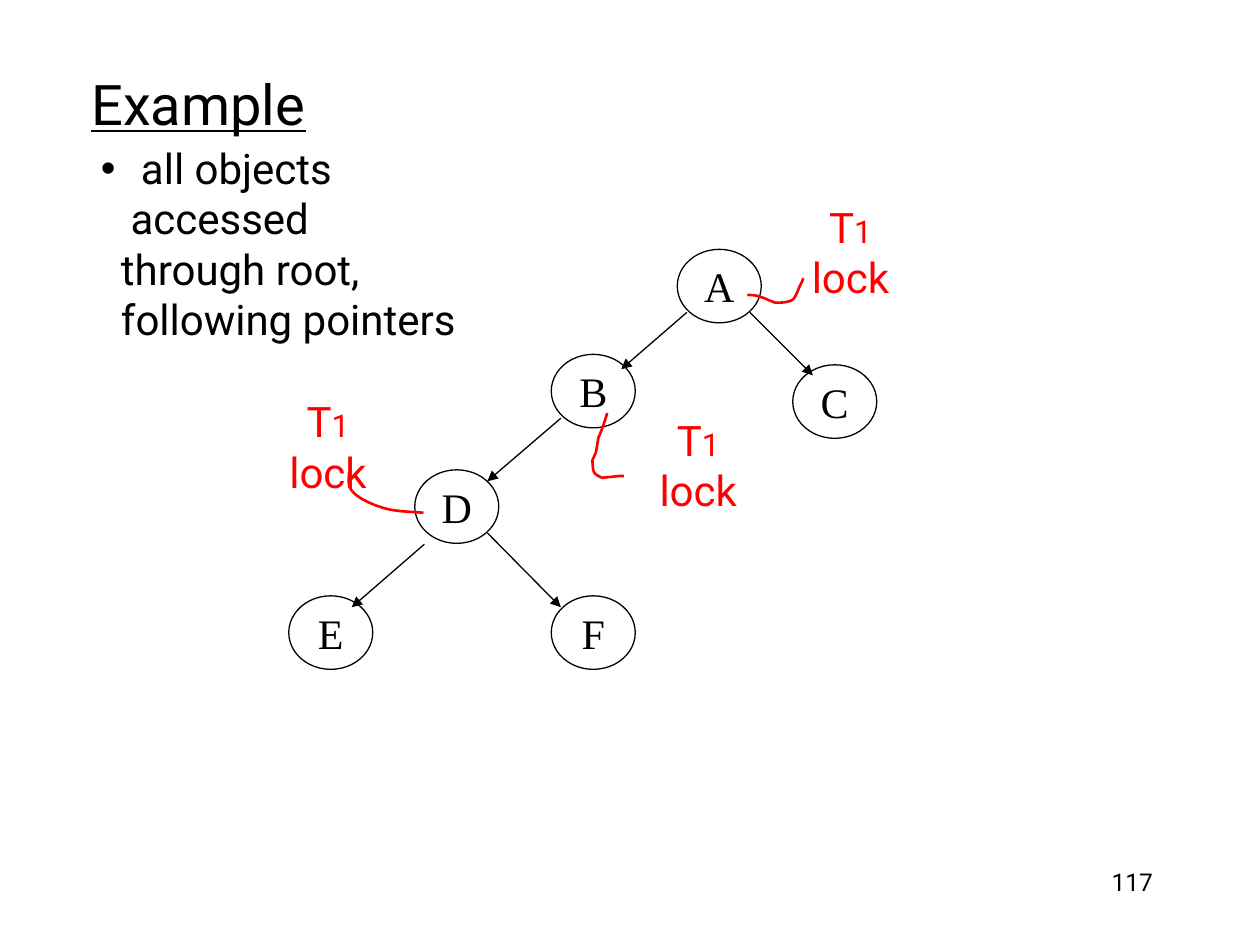
from lxml.etree import SubElement
from pptx import Presentation
from pptx.dml.color import RGBColor
from pptx.enum.shapes import MSO_CONNECTOR, MSO_SHAPE
from pptx.enum.text import MSO_ANCHOR, MSO_AUTO_SIZE, PP_ALIGN
from pptx.oxml.ns import qn
from pptx.util import Pt

BLACK = RGBColor(0, 0, 0)
WHITE = RGBColor(255, 255, 255)
RED = RGBColor(255, 0, 0)
SANS = "Roboto"
SERIF = "Times New Roman"


class TreeSlide:
    """Draws the elements of a locking tree on one slide."""

    def __init__(self, deck):
        self.page = deck.slides.add_slide(deck.slide_layouts[5])

    def style(self, para, size=24, color=BLACK, name=SANS, align=PP_ALIGN.LEFT):
        para.alignment = align
        para.font.size = Pt(size)
        para.font.name = name
        para.font.color.rgb = color

    def title(self, text, left, top, width, height):
        box = self.page.shapes.title
        box.left, box.top, box.width, box.height = map(Pt, (left, top, width, height))
        frame = box.text_frame
        frame.text = text
        frame.auto_size = MSO_AUTO_SIZE.NONE
        frame.vertical_anchor = MSO_ANCHOR.TOP
        self.style(frame.paragraphs[0], 32)
        frame.paragraphs[0].font.underline = True

    def text_box(self, left, top, width, height, anchor=MSO_ANCHOR.MIDDLE):
        box = self.page.shapes.add_textbox(*map(Pt, (left, top, width, height)))
        box.text_frame.word_wrap = True
        box.text_frame.vertical_anchor = anchor
        return box.text_frame

    def bullet_text(self, bullet, followers, left, top, width, height):
        frame = self.text_box(left, top, width, height)
        para = frame.paragraphs[0]
        para.text = bullet
        self.style(para)
        properties = para._p.get_or_add_pPr()
        properties.set("marL", str(Pt(17)))
        properties.set("indent", str(Pt(-17)))
        SubElement(properties, qn("a:buFont")).set("typeface", "Arial")
        SubElement(properties, qn("a:buChar")).set("char", "•")
        for text in followers:
            para = frame.add_paragraph()
            para.text = text
            self.style(para)
            para._p.get_or_add_pPr().set("marL", str(Pt(11.5)))

    def page_number(self, text, left, top, width, height):
        para = self.text_box(left, top, width, height, MSO_ANCHOR.TOP).paragraphs[0]
        para.text = text
        self.style(para, 14, align=PP_ALIGN.RIGHT)

    def node(self, text, center_x, center_y, width=48, height=42):
        shape = self.page.shapes.add_shape(
            MSO_SHAPE.OVAL, Pt(center_x - width / 2), Pt(center_y - height / 2),
            Pt(width), Pt(height))
        shape.shadow.inherit = False
        shape.fill.solid()
        shape.fill.fore_color.rgb = WHITE
        shape.line.color.rgb = BLACK
        shape.line.width = Pt(0.75)
        frame = shape.text_frame
        frame.word_wrap = False
        frame.vertical_anchor = MSO_ANCHOR.MIDDLE
        frame.text = text
        self.style(frame.paragraphs[0], name=SERIF, align=PP_ALIGN.CENTER)

    def arrow(self, *ends):
        line = self.page.shapes.add_connector(MSO_CONNECTOR.STRAIGHT, *map(Pt, ends))
        line.line.color.rgb = BLACK
        line.line.width = Pt(0.75)
        properties = line.element.spPr
        SubElement(properties.find(qn("a:ln")), qn("a:tailEnd")).set("type", "triangle")
        SubElement(properties, qn("a:effectLst"))

    def lock_label(self, left, top):
        frame = self.text_box(left, top, 88, 36)
        frame.margin_left = frame.margin_right = Pt(12)
        para = frame.paragraphs[0]
        self.style(para, color=RED, align=PP_ALIGN.CENTER)
        for text, size in (("T", 24), ("1", 18), (" lock", 24)):
            span = para.add_run()
            span.text = text
            span.font.size = Pt(size)

    def curve(self, start, *segments, steps=8):
        points = [start]
        for first, second, end in segments:
            begin = points[-1]
            for step in range(1, steps + 1):
                t = step / steps
                weights = ((1 - t) ** 3, 3 * t * (1 - t) ** 2, 3 * t * t * (1 - t), t ** 3)
                points.append(tuple(
                    sum(weight * value for weight, value in zip(weights, axis))
                    for axis in zip(begin, first, second, end)))
        outline = [(Pt(x), Pt(y)) for x, y in points]
        builder = self.page.shapes.build_freeform(*outline[0])
        builder.add_line_segments(outline[1:], close=False)
        shape = builder.convert_to_shape()
        shape.shadow.inherit = False
        shape.fill.background()
        shape.line.color.rgb = RED
        shape.line.width = Pt(1.5)


NODES = {"A": (411, 163.5), "B": (339, 223.5), "C": (477, 229.5),
         "D": (261, 289.5), "E": (189, 361.5), "F": (339, 361.5)}
ARROWS = [(392.5, 178.5, 355, 211), (320.5, 239, 278.5, 275),
          (242.5, 311, 201, 347), (278.5, 304.5, 320.5, 347),
          (428.5, 178.5, 464.5, 214.5)]
LABELS = [(442, 126), (355, 247.5), (143.5, 237)]
CURVES = [
    [(427, 168.5), ((433.5, 169), (430.5, 168.5), (437, 170.5)),
     ((439, 171.5), (443, 173), (443, 173)), ((446, 173), (448.5, 173), (451.5, 172)),
     ((454.5, 171.5), (456, 165.5), (457, 163.5)), ((458.5, 160.5), (458, 162), (459, 159))],
    [(347, 236), ((345.5, 241), (344, 245.5), (342, 250)),
     ((340, 260.5), (341.5, 256.5), (338.5, 263)), ((339, 270), (338.5, 270.5), (344, 273)),
     ((355, 272), (351.5, 272), (356.5, 272))],
    [(242, 293), ((236, 292.5), (230.5, 292.5), (224.5, 291.5)),
     ((219, 291), (200, 284.5), (199.5, 277)), ((199, 274.5), (199.5, 272), (199.5, 269.5))],
]

deck = Presentation()
deck.slide_width, deck.slide_height = Pt(720), Pt(540)
slide = TreeSlide(deck)
slide.title("Example", 45, 36, 612, 57)
slide.page_number("117", 516, 492, 150, 36)
for name, center in NODES.items():
    slide.node(name, *center)
for ends in ARROWS:
    slide.arrow(*ends)
slide.bullet_text(" all objects accessed", ["through root,", "following pointers"],
                  50.5, 92, 242, 94)
for corner in LABELS:
    slide.lock_label(*corner)
for points in CURVES:
    slide.curve(*points)
deck.save("out.pptx")
